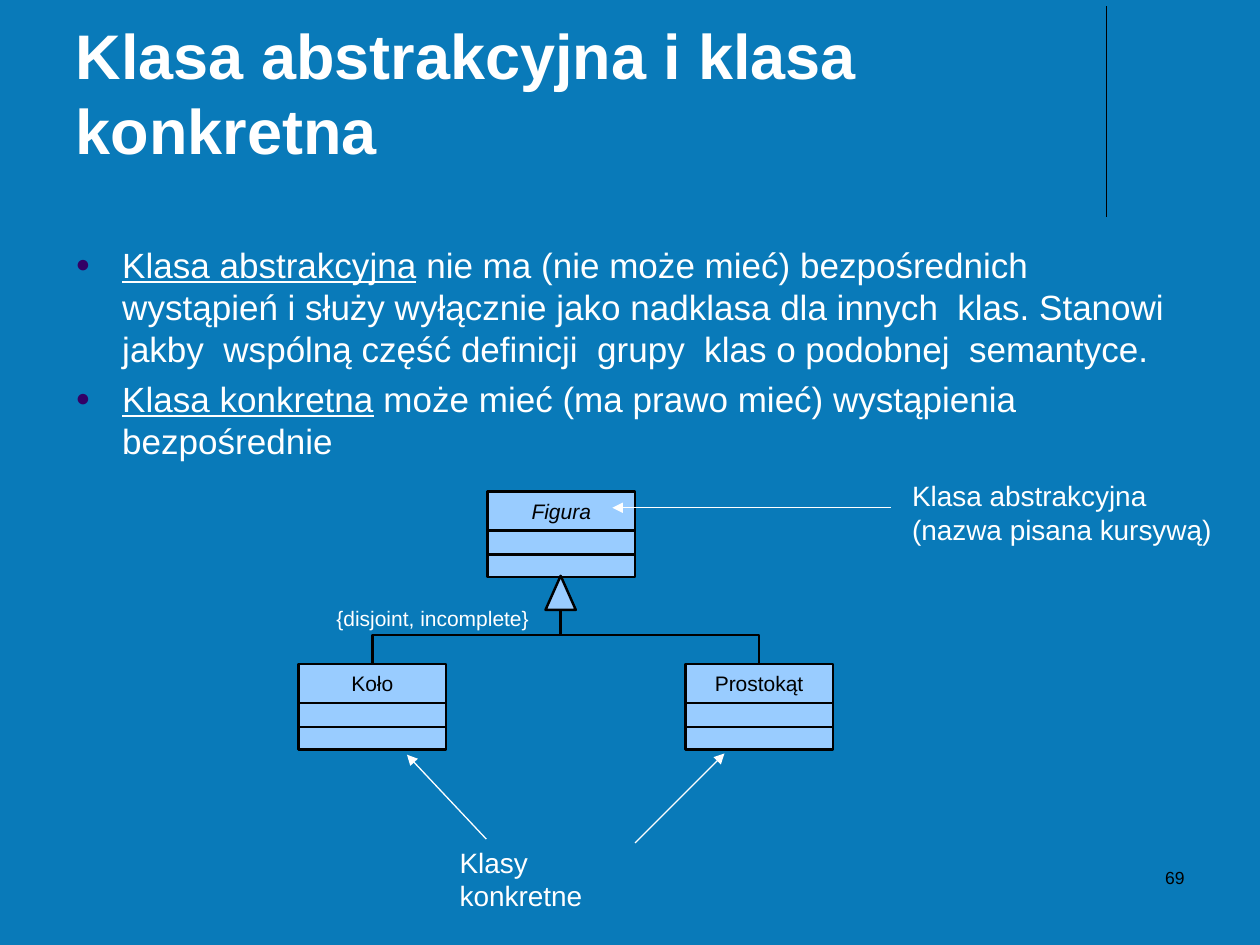
from lxml import etree
from pptx import Presentation
from pptx.dml.color import RGBColor
from pptx.enum import shapes, text
from pptx.oxml import ns
from pptx.util import Inches, Pt

COLORS = {"back": "097AB9", "box": "99CCFF", "dark": "000000",
          "light": "FFFFFF", "dot": "330066"}
FONT = "Arial"
BOX_W = 1.17
ROWS = (0.31, 0.19, 0.18)
BODY = [
    ("Klasa abstrakcyjna",
     "nie ma (nie może mieć) bezpośrednich  wystąpień i służy wyłącznie jako "
     "nadklasa dla innych  klas. Stanowi jakby  wspólną część definicji  "
     "grupy  klas o podobnej  semantyce."),
    ("Klasa konkretna",
     "może mieć (ma prawo mieć) wystąpienia bezpośrednie"),
]


def color(name):
    return RGBColor.from_string(COLORS[name])


def add_tag(parent, tag, **attrs):
    return etree.SubElement(parent, ns.qn(tag), attrs)


def style(frame, size, name="light", align=text.PP_ALIGN.LEFT):
    for para in frame.paragraphs:
        para.alignment = align
        for run in para.runs:
            run.font.size = Pt(size)
            run.font.name = FONT
            run.font.color.rgb = color(name)


def inset(frame, side, top):
    frame.margin_left = frame.margin_right = Inches(side)
    frame.margin_top = frame.margin_bottom = Inches(top)


def place(shape, left, top, width, height):
    shape.left, shape.top = Inches(left), Inches(top)
    shape.width, shape.height = Inches(width), Inches(height)


def add_title(slide, words):
    title = slide.shapes.title
    place(title, 0.5, 0.13, 8.25, 1.25)
    frame = title.text_frame
    frame.text = words
    frame.auto_size = text.MSO_AUTO_SIZE.NONE
    frame.vertical_anchor = text.MSO_ANCHOR.BOTTOM
    style(frame, 36)
    frame.paragraphs[0].runs[0].font.bold = True


def add_bullet(para):
    props = para._p.get_or_add_pPr()
    props.set("marL", str(Inches(0.37)))
    props.set("indent", str(-Inches(0.37)))
    tint = add_tag(props, "a:buClr")
    add_tag(tint, "a:srgbClr", val=COLORS["dot"])
    add_tag(props, "a:buSzPct", val="70000")
    add_tag(props, "a:buFont", typeface=FONT)
    add_tag(props, "a:buChar", char="●")


def add_body(slide, items):
    body = slide.placeholders[1]
    place(body, 0.5, 1.88, 9, 2.11)
    frame = body.text_frame
    frame.auto_size = text.MSO_AUTO_SIZE.NONE
    for i, (term, rest) in enumerate(items):
        para = frame.add_paragraph() if i else frame.paragraphs[0]
        for words in (term, " ", rest):
            para.add_run().text = words
        para.runs[0].font.underline = True
        para.runs[1].font.italic = True
        para.space_before = Pt(4.5)
        add_bullet(para)
    style(frame, 20)


def add_label(slide, words, spot, size, pad=(0.1, 0.05), wrap=False,
              name="light", align=text.PP_ALIGN.LEFT):
    label = slide.shapes.add_textbox(*map(Inches, spot))
    frame = label.text_frame
    frame.text = words
    frame.word_wrap = wrap
    inset(frame, *pad)
    style(frame, size, name, align)


def add_block(parent, kind, *spot):
    block = parent.shapes.add_shape(kind, *map(Inches, spot))
    block.shadow.inherit = False
    block.fill.solid()
    block.fill.fore_color.rgb = color("box")
    block.line.color.rgb = color("dark")
    block.line.width = Pt(1.42)
    return block


def add_class(slide, words, left, top, italic=False):
    """Draw a UML class: a name row over two empty rows."""
    group = slide.shapes.add_group_shape()
    for i, height in enumerate(ROWS):
        row = add_block(group, shapes.MSO_SHAPE.RECTANGLE,
                        left, top, BOX_W, height)
        if i == 0:
            frame = row.text_frame
            frame.text = words
            frame.vertical_anchor = text.MSO_ANCHOR.MIDDLE
            inset(frame, 0.11, 0.06)
            style(frame, 12, "dark", text.PP_ALIGN.CENTER)
            frame.paragraphs[0].runs[0].font.italic = italic
        top += height


def add_line(slide, start, end, name="light", width=0.75, arrow=False,
             kind=shapes.MSO_CONNECTOR.STRAIGHT):
    line = slide.shapes.add_connector(kind, *map(Inches, start + end))
    line.line.color.rgb = color(name)
    line.line.width = Pt(width)
    if arrow:
        add_tag(line.line._get_or_add_ln(), "a:tailEnd", type="triangle")
    add_tag(line._element.spPr, "a:effectLst")
    return line


def add_elbow(slide, start, end):
    """Join two points by a vertical-first elbow, a turned connector."""
    mid_x, mid_y = (start[0] + end[0]) / 2, (start[1] + end[1]) / 2
    turn = 90 if start[0] < end[0] else 270
    sign = 1 if turn == 90 else -1
    off_x, off_y = sign * (start[1] - mid_y), sign * (mid_x - start[0])
    line = add_line(slide, (mid_x + off_x, mid_y + off_y),
                    (mid_x - off_x, mid_y - off_y), "dark", 1.42,
                    kind=shapes.MSO_CONNECTOR.ELBOW)
    props = line._element.spPr
    props.find(ns.qn("a:xfrm")).set("rot", str(turn * 60000))
    guides = props.find(ns.qn("a:prstGeom")).get_or_add_avLst()
    add_tag(guides, "a:gd", name="adj1", fmla="val 53300")


def main():
    deck = Presentation()
    deck.slide_width, deck.slide_height = Inches(10), Inches(7.5)
    slide = deck.slides.add_slide(deck.slide_layouts[1])
    fill = slide.background.fill
    fill.solid()
    fill.fore_color.rgb = color("back")

    add_line(slide, (8.78, 0.05), (8.78, 1.72), "dark")
    add_title(slide, "Klasa abstrakcyjna i klasa konkretna")
    add_body(slide, BODY)

    add_label(slide, "Klasa abstrakcyjna\n(nazwa pisana kursywą)",
              (7.14, 3.75, 2.58, 0.64), 16)
    add_label(slide, "Klasy konkretne", (3.55, 6.66, 1.77, 0.37), 16)
    add_label(slide, "{disjoint, incomplete}", (2.67, 4.81, 1.53, 0.2), 12,
              pad=(0, 0))

    add_class(slide, "Figura", 3.87, 3.9, italic=True)
    add_block(slide, shapes.MSO_SHAPE.ISOSCELES_TRIANGLE,
              4.33, 4.57, 0.24, 0.27)
    for words, left in (("Koło", 2.37), ("Prostokąt", 5.44)):
        add_class(slide, words, left, 5.27)
        add_elbow(slide, (left + BOX_W / 2, 5.27), (4.45, 4.84))

    for start, end in (((3.86, 6.66), (3.23, 5.99)),
                       ((5.04, 6.69), (5.75, 5.98)),
                       ((7.07, 4.03), (4.86, 4.03))):
        add_line(slide, start, end, arrow=True)
    add_label(slide, "69", (7.17, 6.83, 2.33, 0.5), 10, wrap=True,
              name="dark", align=text.PP_ALIGN.RIGHT)
    deck.save("out.pptx")


if __name__ == "__main__":
    main()
